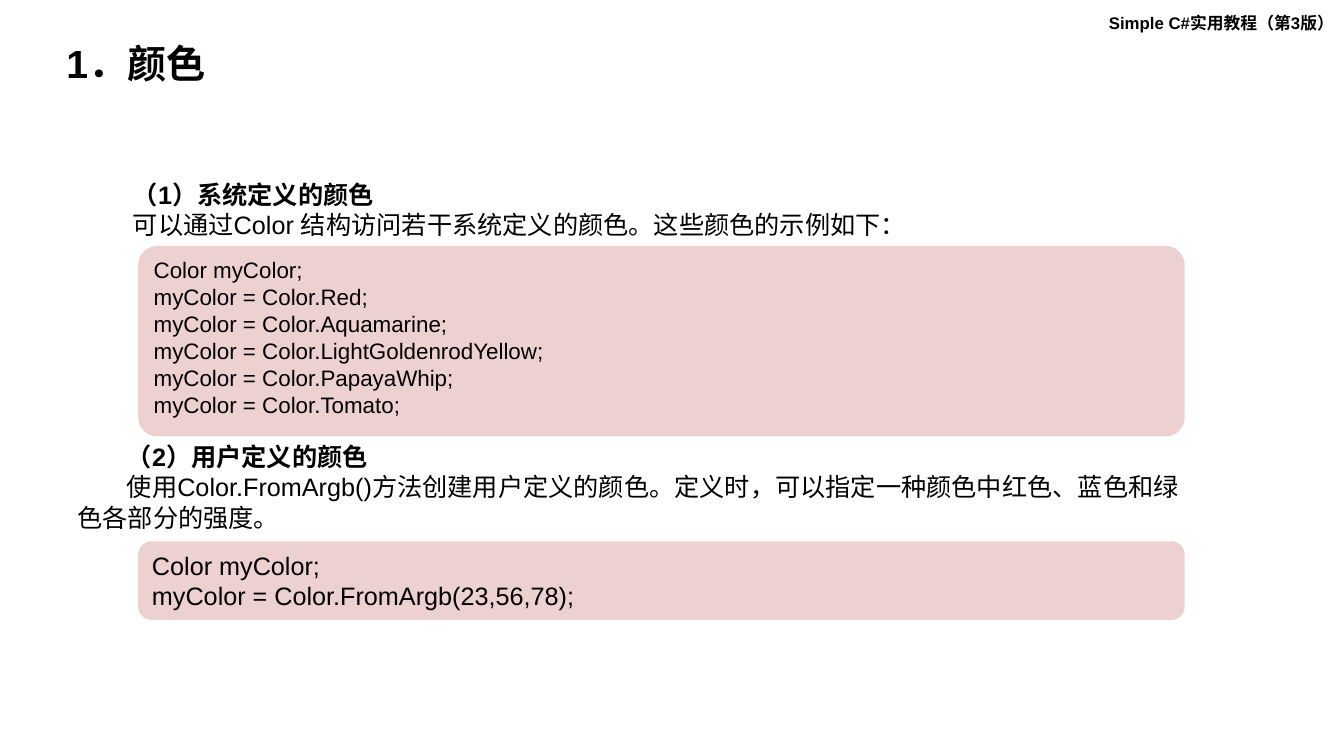
from dataclasses import dataclass

from pptx import Presentation
from pptx import util as u
from pptx.dml.color import RGBColor
from pptx.enum import shapes, text


@dataclass(frozen=True)
class Theme:
    font: str = "Arial"
    ink: RGBColor = RGBColor(0x00, 0x00, 0x00)
    panel: RGBColor = RGBColor(0xED, 0xD0, 0xD0)
    header: int = 12
    title: int = 28
    body: int = 18
    code: int = 16


THEME = Theme()
WIDTH, HEIGHT = u.Inches(13.33), u.Inches(7.5)

# The page is a grid of 100 columns by 100 rows
CODE_LEFT, CODE_WIDTH = 10.28, 77.87
BODY_RIGHT = 89.5


def cell(left, top, width, height):
    """Turn grid columns and rows into slide lengths."""
    return (round(WIDTH * left / 100), round(HEIGHT * top / 100),
            round(WIDTH * width / 100), round(HEIGHT * height / 100))


def write(frame, lines, size, bold_lines=0, indent=0, spacing=None):
    """Fill a frame with one paragraph per line; the first ones may be bold."""
    frame.word_wrap = True
    for index, line in enumerate(lines):
        para = frame.paragraphs[0] if index == 0 else frame.add_paragraph()
        para.alignment = text.PP_ALIGN.LEFT
        if spacing:
            para.line_spacing = spacing
        if indent:
            properties = para._p.get_or_add_pPr()
            properties.set("marL", "0")
            properties.set("indent", str(u.Inches(indent)))
        span = para.add_run()
        span.text = line
        span.font.name = THEME.font
        span.font.size = u.Pt(size)
        span.font.bold = index < bold_lines
        span.font.color.rgb = THEME.ink


def add_text(page, area, lines, size, anchor=text.MSO_ANCHOR.TOP, **style):
    box = page.shapes.add_textbox(*cell(*area))
    box.text_frame.vertical_anchor = anchor
    write(box.text_frame, lines, size, bold_lines=1, **style)


def add_code(page, top, height, lines, size, anchor, corner):
    box = page.shapes.add_shape(shapes.MSO_SHAPE.ROUNDED_RECTANGLE,
                                *cell(CODE_LEFT, top, CODE_WIDTH, height))
    box.adjustments[0] = corner
    box.shadow.inherit = False
    box.fill.solid()
    box.fill.fore_color.rgb = THEME.panel
    box.line.fill.background()
    box.text_frame.vertical_anchor = anchor
    write(box.text_frame, lines, size)


def main():
    deck = Presentation()
    deck.slide_width, deck.slide_height = WIDTH, HEIGHT
    page = deck.slides.add_slide(deck.slide_layouts[6])

    # Running header and title
    add_text(page, (81.77, 1.07, 18.3, 4), ["Simple C#实用教程（第3版）"], THEME.header)
    add_text(page, (4.2, 5.2, 45.3, 6.93), ["1．颜色"], THEME.title,
             anchor=text.MSO_ANCHOR.MIDDLE, spacing=0.9)

    # System colours
    left = 9.15
    add_text(page, (left, 23.07, BODY_RIGHT - left, 9.47),
             ["（1）系统定义的颜色",
              "可以通过Color 结构访问若干系统定义的颜色。这些颜色的示例如下："],
             THEME.body)
    names = ["Red", "Aquamarine", "LightGoldenrodYellow", "PapayaWhip", "Tomato"]
    add_code(page, 32.53, 25.2,
             ["Color myColor;"] + [f"myColor = Color.{name};" for name in names],
             THEME.code, text.MSO_ANCHOR.TOP, corner=0.1)

    # User colours
    left = 5.03
    add_text(page, (left, 57.73, BODY_RIGHT - left, 13.47),
             ["（2）用户定义的颜色",
              "使用Color.FromArgb()方法创建用户定义的颜色。定义时，"
              "可以指定一种颜色中红色、蓝色和绿色各部分的强度。"],
             THEME.body, indent=0.49)
    add_code(page, 71.6, 10.4,
             ["Color myColor;", "myColor = Color.FromArgb(23,56,78);"],
             THEME.body, text.MSO_ANCHOR.MIDDLE, corner=0.17)

    deck.save("out.pptx")


if __name__ == "__main__":
    main()
